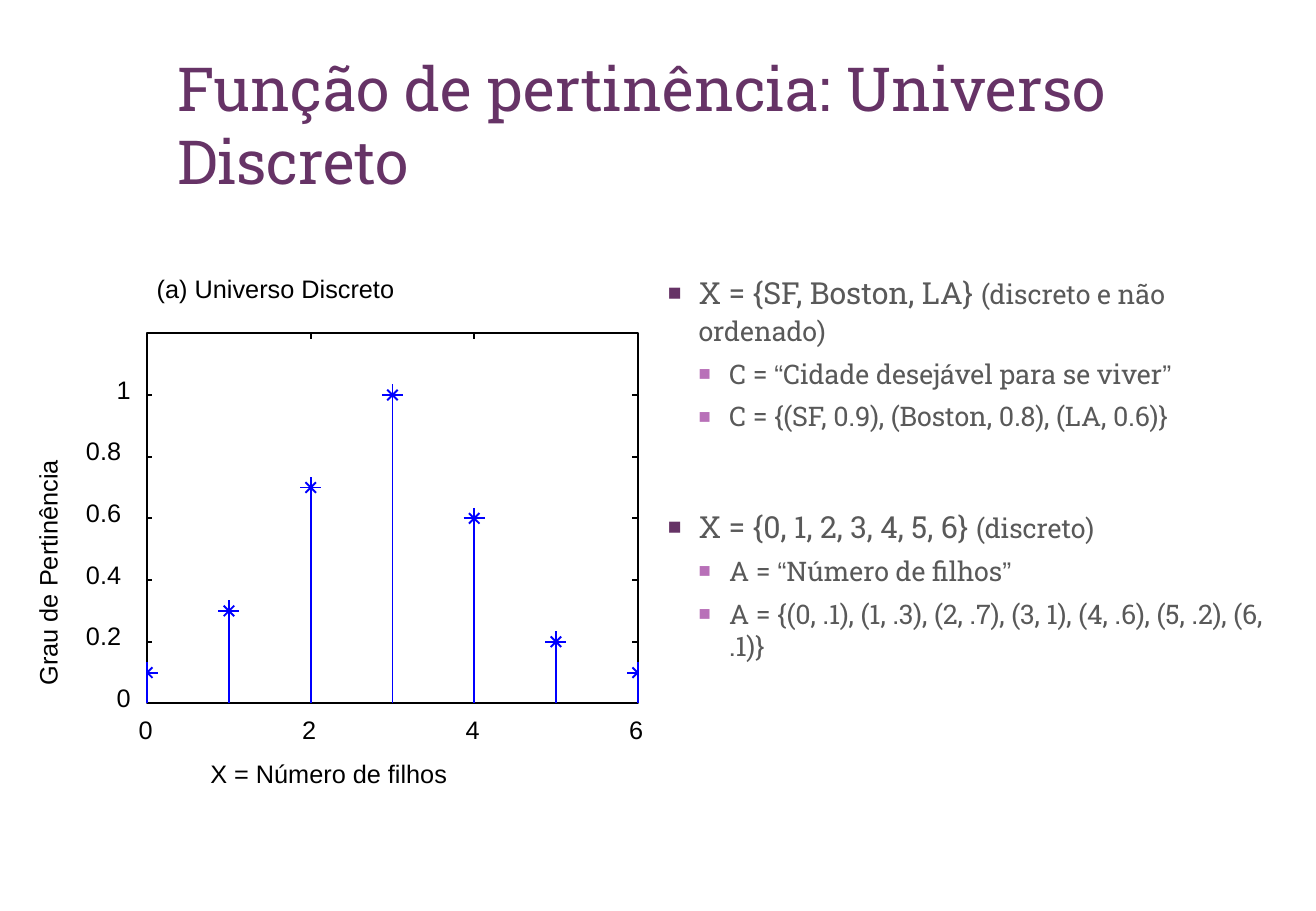
from lxml import etree
from pptx import Presentation
from pptx import util as u
from pptx.dml.color import RGBColor
from pptx.enum import shapes, text
from pptx.oxml import ns

PLUM = RGBColor(0x66, 0x33, 0x66)
LILAC = RGBColor(0xB8, 0x70, 0xB8)
GREY = RGBColor(0x59, 0x59, 0x59)
BLACK = RGBColor(0, 0, 0)
BLUE = RGBColor(0, 0, 0xFF)
SLAB, SANS = "Roboto Slab", "Arial"

LEFT, BASE = 3.08, 14.71
STEP, UNIT = 1.71, 6.45
LAST, PEAK = 6, 1.2
RIGHT, TOP = LEFT + LAST * STEP, BASE - PEAK * UNIT
TICK = 0.11
GRADES = [0.1, 0.3, 0.7, 1, 0.6, 0.2, 0.1]
ARMS = [(0.22, 0), (0, 0.22), (0.11, 0.11), (0.11, -0.11)]

ITEMS = [
    (0, 0, [("X = {SF, Boston, LA} ", 18, SLAB),
            ("(discreto e não ordenado)", 16, SLAB), (" ", 18, SLAB)]),
    (1, 6, [("C = ", 16, SLAB), ("“", 16, SANS),
            ("Cidade desejável para se viver", 16, SLAB), ("”", 16, SANS)]),
    (1, 6, [("C = {(SF, 0.9), (Boston, 0.8), (LA, 0.6)}", 16, SLAB)]),
    (0, 45, [("X = {0, 1, 2, 3, 4, 5, 6} ", 18, SLAB),
             ("(discreto)", 16, SLAB), (" ", 18, SLAB)]),
    (1, 6, [("A = ", 16, SLAB), ("“", 16, SANS),
            ("Número de filhos", 16, SLAB), ("”", 16, SANS)]),
    (1, 6, [("A = {(0, .1), (1, .3), (2, .7), (3, 1), (4, .6), (5, .2), (6, .1)}",
             16, SLAB)]),
]


def place(shape, x, y, wide, high):
    """Move and size a shape, in centimetres."""
    shape.left, shape.top = u.Cm(x), u.Cm(y)
    shape.width, shape.height = u.Cm(wide), u.Cm(high)


def style(font, face, size, color):
    """Set the face, size and colour of a font."""
    font.name, font.size = face, u.Pt(size)
    font.color.rgb = color


def head(shape):
    """Fill the title."""
    place(shape, 3.45, 0.94, 23.44, 4.06)
    frame = shape.text_frame
    frame.text = "Função de pertinência: Universo Discreto"
    frame.auto_size = text.MSO_AUTO_SIZE.NONE
    frame.vertical_anchor = text.MSO_ANCHOR.TOP
    para = frame.paragraphs[0]
    para.alignment = text.PP_ALIGN.LEFT
    style(para.font, SLAB, 36, PLUM)


def bullet(para, color, indent):
    """Give a paragraph a hanging square bullet."""
    props = para._p.get_or_add_pPr()
    props.set("marL", str(u.Cm(indent)))
    props.set("indent", str(u.Cm(-0.64)))
    tint = etree.SubElement(props, ns.qn("a:buClr"))
    etree.SubElement(tint, ns.qn("a:srgbClr"), val=str(color))
    etree.SubElement(props, ns.qn("a:buSzPct"), val="75000")
    etree.SubElement(props, ns.qn("a:buFont"), typeface=SANS)
    etree.SubElement(props, ns.qn("a:buChar"), char="■")


def listing(shape):
    """Fill the body with the bulleted sets."""
    place(shape, 13.72, 5.61, 13.23, 11.43)
    frame = shape.text_frame
    frame.auto_size = text.MSO_AUTO_SIZE.NONE
    for spot, (level, gap, parts) in enumerate(ITEMS):
        para = frame.add_paragraph() if spot else frame.paragraphs[0]
        para.level = level
        bullet(para, LILAC if level else PLUM, 0.64 * (level + 1))
        para.space_before = u.Pt(gap)
        faces = {face for _, _, face in parts}
        sizes = {size for _, size, _ in parts}
        para.font.color.rgb = GREY
        if len(faces) == 1:
            para.font.name = parts[0][2]
        if len(sizes) == 1:
            para.font.size = u.Pt(parts[0][1])
        for words, size, face in parts:
            run = para.add_run()
            run.text = words
            if len(faces) > 1:
                run.font.name = face
            if len(sizes) > 1:
                run.font.size = u.Pt(size)


def label(plot, words, x, y, wide, turn=0):
    """Add a line of plot text."""
    box = plot.shapes.add_textbox(u.Cm(x), u.Cm(y), u.Cm(wide), u.Cm(0.64))
    box.rotation = turn
    frame = box.text_frame
    frame.word_wrap = False
    frame.auto_size = text.MSO_AUTO_SIZE.SHAPE_TO_FIT_TEXT
    frame.margin_left = frame.margin_right = 0
    frame.margin_top = frame.margin_bottom = 0
    frame.text = words
    style(frame.paragraphs[0].font, SANS, 15, BLACK)


def stroke(plot, start, end, color):
    """Add a thin straight line and return it."""
    ends = [u.Cm(value) for value in (*start, *end)]
    line = plot.shapes.add_connector(shapes.MSO_CONNECTOR.STRAIGHT, *ends)
    line.line.color.rgb, line.line.width = color, u.Pt(1.13)
    etree.SubElement(line._element.spPr, ns.qn("a:effectLst"))
    return line


def border(plot):
    """Add the plot frame and return it."""
    rect = plot.shapes.add_shape(shapes.MSO_SHAPE.RECTANGLE, u.Cm(LEFT), u.Cm(TOP),
                                 u.Cm(RIGHT - LEFT), u.Cm(BASE - TOP))
    rect.shadow.inherit = False
    rect.fill.background()
    rect.line.color.rgb, rect.line.width = BLACK, u.Pt(1.13)
    return rect


def scales(plot, rect):
    """Add ticks and numbers on both axes."""
    for count in range(0, LAST + 1, 2):
        x = LEFT + count * STEP
        stroke(plot, (x, BASE), (x, BASE - TICK), BLACK)
        stroke(plot, (x, TOP), (x, TOP + TICK), BLACK)
        label(plot, str(count), x - 0.18, 14.94, 0.3)
    for fifth in range(6):
        y = BASE - fifth / 5 * UNIT
        west = stroke(plot, (LEFT, y), (LEFT + TICK, y), BLACK)
        east = stroke(plot, (RIGHT, y), (RIGHT - TICK, y), BLACK)
        if fifth == 3:
            west.begin_connect(rect, 1)
            east.begin_connect(rect, 3)
        whole = fifth % 5 == 0
        label(plot, f"{fifth / 5:g}", 2.44 if whole else 1.8, y - 0.44,
              0.3 if whole else 0.76)


def stems(plot, rect):
    """Add a stem and a star for each grade, cut at the frame sides."""
    for count, grade in enumerate(GRADES):
        x, y = LEFT + count * STEP, BASE - grade * UNIT
        for across, down in ARMS:
            low = 0 if across and count == 0 else -1
            high = 0 if across and count == LAST else 1
            stroke(plot, (x + low * across, y + low * down),
                   (x + high * across, y + high * down), BLUE)
        stem = stroke(plot, (x, BASE), (x, y), BLUE)
        if count * 2 == LAST:
            stem.begin_connect(rect, 2)


def main():
    """Build and save the slide."""
    deck = Presentation()
    deck.slide_width, deck.slide_height = u.Cm(27.53), u.Cm(19.05)
    slide = deck.slides.add_slide(deck.slide_layouts[1])
    head(slide.shapes.title)
    listing(slide.placeholders[1])
    plot = slide.shapes.add_group_shape()
    rect = border(plot)
    scales(plot, rect)
    stems(plot, rect)
    label(plot, "X = Número de filhos", 4.4, 15.85, 5.3)
    label(plot, "Grau de Pertinência", -1.6, 11.41, 5.2, 270)
    label(plot, "(a) Universo Discreto", 3.28, 5.72, 5.3)
    deck.save("out.pptx")


if __name__ == "__main__":
    main()
